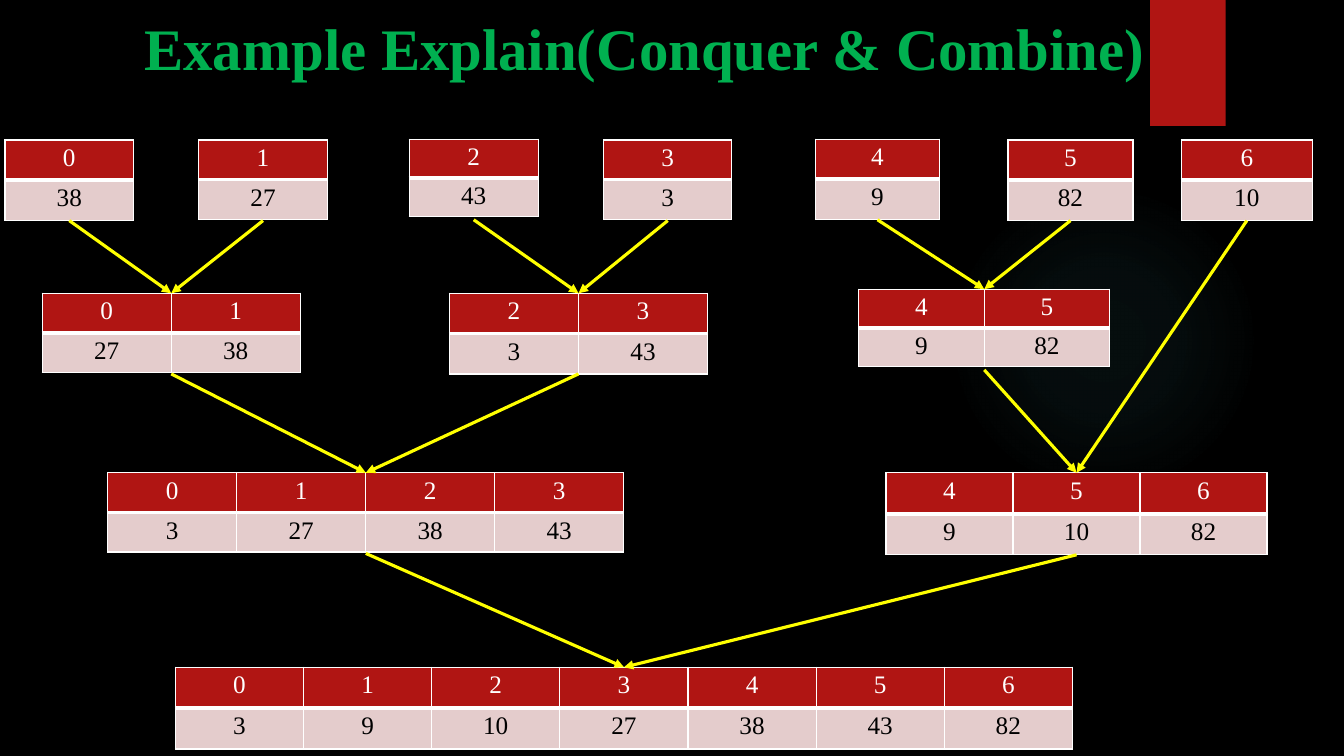
import dataclasses
import lxml.etree
import pptx
import pptx.dml.color
import pptx.enum.shapes
import pptx.enum.text
import pptx.oxml
import pptx.oxml.ns
import pptx.util

Pt = pptx.util.Pt


@dataclasses.dataclass(frozen=True)
class Theme:
    font: str = "Times New Roman"
    back: str = "000000"
    title: str = "00B050"
    head: str = "B01513"
    body: str = "E4CCCC"
    light: str = "FFFFFF"
    dark: str = "000000"
    arrow: str = "FFFF00"
    glow: str = "50B9C1"
    big: float = 42
    small: float = 18
    thin: float = 1
    thick: float = 3
    stroke: float = 2.25


@dataclasses.dataclass(frozen=True)
class Node:
    left: float
    top: float
    width: float
    row: float
    first: int
    values: tuple
    goal: str = ""

    @property
    def mid(self):
        return self.left + self.width / 2

    @property
    def base(self):
        return self.top + max(57.6, 2 * self.row)


THEME = Theme()
NODES = {
    "all": Node(125.3, 476.6, 640.8, 29.2, 0, (3, 9, 10, 27, 38, 43, 82)),
    "0-3": Node(77, 337.7, 368.6, 28.3, 0, (3, 27, 38, 43), "all"),
    "4-6": Node(632.9, 337.7, 272.2, 29.3, 4, (9, 10, 82), "all"),
    "0-1": Node(30.2, 209.5, 184.3, 28.3, 0, (27, 38), "0-3"),
    "2-3": Node(321.1, 209.5, 184.3, 28.8, 2, (3, 43), "0-3"),
    "4-5": Node(613.4, 206.6, 179.3, 27.4, 4, (9, 82), "4-6"),
    "0": Node(3.6, 100, 91.8, 28.8, 0, (38,), "0-1"),
    "1": Node(141.8, 100, 92.2, 28.3, 1, (27,), "0-1"),
    "2": Node(292.3, 99.4, 92.2, 27, 2, (43,), "2-3"),
    "3": Node(431.3, 100, 91.4, 28.3, 3, (3,), "2-3"),
    "4": Node(582.5, 99.4, 88.6, 28.6, 4, (9,), "4-5"),
    "5": Node(720, 100, 89.3, 28.8, 5, (82,), "4-5"),
    "6": Node(843.8, 100, 93.6, 28.8, 6, (10,), "4-6"),
}


def color(code):
    return pptx.dml.color.RGBColor.from_string(code)


def xml(text):
    return pptx.oxml.parse_xml(text.replace(
        "NS", pptx.oxml.ns.nsdecls("a"), 1))


def write(frame, text, size, code, bold=False):
    line = frame.paragraphs[0]
    line.text = text
    line.alignment = pptx.enum.text.PP_ALIGN.CENTER
    line.font.name = THEME.font
    line.font.size = Pt(size)
    line.font.bold = bold
    line.font.color.rgb = color(code)


def block(slide, kind, left, top, width, height):
    shape = slide.shapes.add_shape(
        kind, Pt(left), Pt(top), Pt(width), Pt(height))
    shape.shadow.inherit = False
    shape.line.fill.background()
    shape.fill.solid()
    shape.fill.fore_color.rgb = color(THEME.head)
    return shape


def glow(slide, left, top, size):
    oval = block(slide, pptx.enum.shapes.MSO_SHAPE.OVAL, left, top, size, size)
    stops = "".join(
        f'<a:gs pos="{place * 1000}"><a:srgbClr val="{THEME.glow}">'
        f'<a:alpha val="{alpha * 1000}"/></a:srgbClr></a:gs>'
        for place, alpha in ((0, 7), (36, 6), (69, 0)))
    blend = xml(
        f'<a:gradFill NS><a:gsLst>{stops}</a:gsLst><a:path path="circle">'
        '<a:fillToRect l="50000" t="50000" r="50000" b="50000"/>'
        '</a:path></a:gradFill>')
    props = oval._element.spPr
    props.replace(props.find(pptx.oxml.ns.qn("a:solidFill")), blend)


def title(slide, text, left, top, width, height):
    box = slide.shapes.add_textbox(Pt(left), Pt(top), Pt(width), Pt(height))
    frame = box.text_frame
    frame.word_wrap = True
    frame.vertical_anchor = pptx.enum.text.MSO_ANCHOR.MIDDLE
    frame.margin_top = Pt(0)
    frame.margin_bottom = Pt(4)
    write(frame, text, THEME.big, THEME.title, True)


def edge(cell, side, width):
    cell._tc.get_or_add_tcPr().append(xml(
        f'<a:ln{side} NS w="{Pt(width)}"><a:solidFill>'
        f'<a:srgbClr val="{THEME.light}"/></a:solidFill></a:ln{side}>'))


def table(slide, node):
    count = len(node.values)
    grid = slide.shapes.add_table(
        2, count, Pt(node.left), Pt(node.top),
        Pt(node.width), Pt(2 * node.row)).table
    grid.horz_banding = False
    for row in grid.rows:
        row.height = Pt(node.row)
    for col in grid.columns:
        col.width = Pt(node.width / count)
    keys = range(node.first, node.first + count)
    bands = (
        (keys, THEME.head, THEME.light, "B"),
        (node.values, THEME.body, THEME.dark, "T"),
    )
    for down, (items, fill, ink, heavy) in enumerate(bands):
        for across, item in enumerate(items):
            cell = grid.cell(down, across)
            cell.margin_top = cell.margin_bottom = Pt(3)
            for side in "LRTB":
                edge(cell, side, THEME.thick if side == heavy else THEME.thin)
            cell.fill.solid()
            cell.fill.fore_color.rgb = color(fill)
            write(cell.text_frame, str(item), THEME.small, ink)


def arrow(slide, start, end):
    link = slide.shapes.add_connector(
        pptx.enum.shapes.MSO_CONNECTOR.STRAIGHT,
        Pt(start.mid), Pt(start.base), Pt(end.mid), Pt(end.top))
    link.line.color.rgb = color(THEME.arrow)
    link.line.width = Pt(THEME.stroke)
    link.line._get_or_add_ln().append(xml('<a:tailEnd NS type="triangle"/>'))
    link._element.spPr.append(xml("<a:effectLst NS/>"))


def tree(slide, nodes):
    for node in nodes.values():
        table(slide, node)
    for node in nodes.values():
        if node.goal:
            arrow(slide, node, nodes[node.goal])


def main():
    deck = pptx.Presentation()
    deck.slide_width = Pt(960)
    deck.slide_height = Pt(540)
    slide = deck.slides.add_slide(deck.slide_layouts[6])
    slide.background.fill.solid()
    slide.background.fill.fore_color.rgb = color(THEME.back)
    glow(slide, 677.5, 131.8, 221.8)
    block(slide, pptx.enum.shapes.MSO_SHAPE.RECTANGLE, 821.5, 0, 54, 90)
    title(slide, "Example Explain(Conquer & Combine)", 20.9, 0, 879, 71.3)
    tree(slide, NODES)
    deck.save("out.pptx")


if __name__ == "__main__":
    main()
